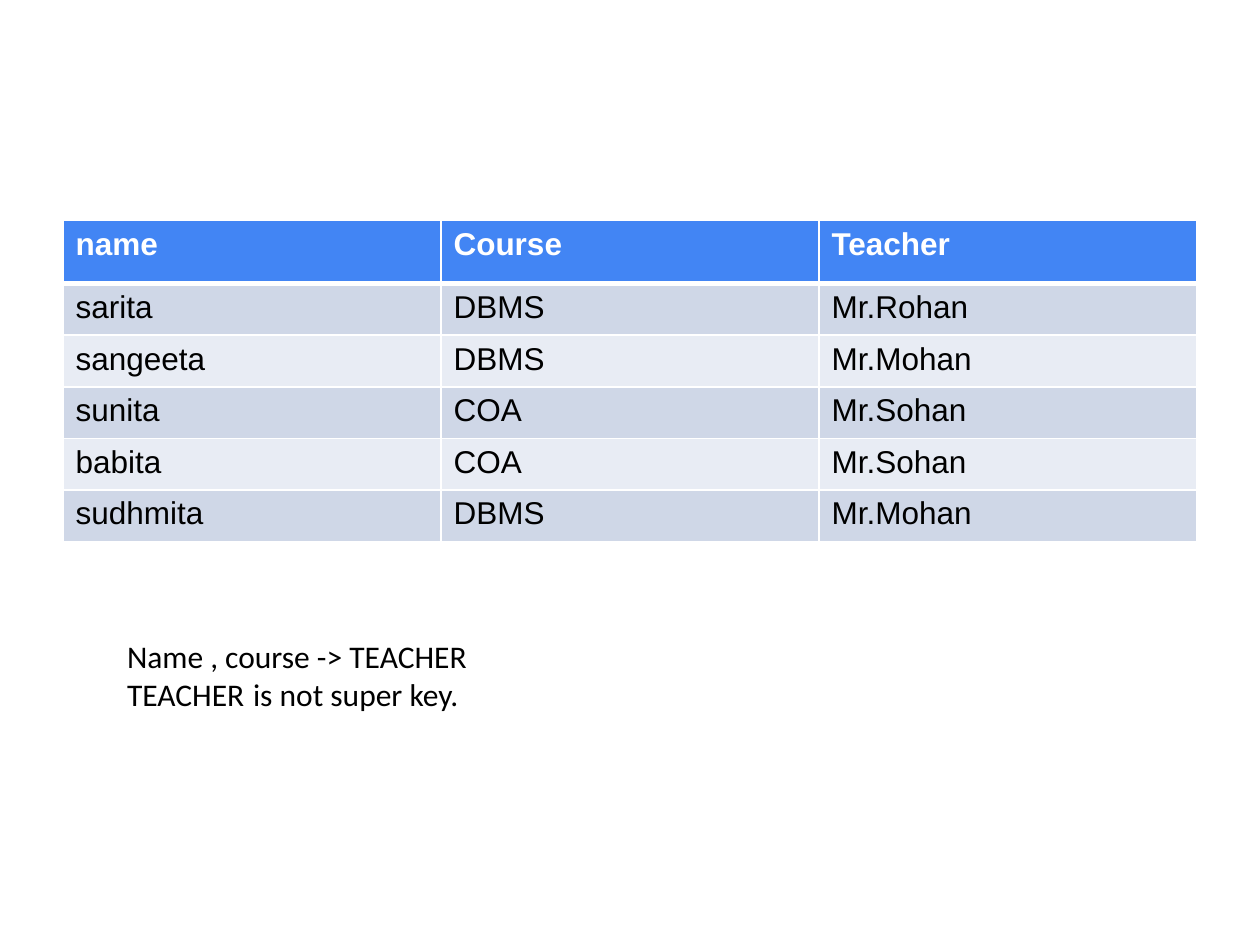
from dataclasses import dataclass

from lxml.etree import SubElement
from pptx import Presentation
from pptx.dml.color import RGBColor
from pptx.enum.text import MSO_AUTO_SIZE as AutoSize
from pptx.oxml.ns import qn
from pptx.util import Inches, Pt

COLORS = {
    "header": "4285F4",
    "odd": "CFD7E7",
    "even": "E8ECF4",
    "light": "FFFFFF",
    "dark": "000000",
}
WIDTH, HEIGHT = Inches(10), Inches(7.5)
MARGINS = {
    "margin_left": Inches(0.1),
    "margin_right": Inches(0.1),
    "margin_top": Inches(0.05),
    "margin_bottom": Inches(0.05),
}


@dataclass
class RowStyle:
    fill: str
    text: str
    bold: bool
    height: float
    bottom_line: float


HEADER = RowStyle("header", "light", True, 0.5, 3)
ODD = RowStyle("odd", "dark", False, 0.41, 1)
EVEN = RowStyle("even", "dark", False, 0.41, 1)

COURSES = [
    ("name", "Course", "Teacher"),
    ("sarita", "DBMS", "Mr.Rohan"),
    ("sangeeta", "DBMS", "Mr.Mohan"),
    ("sunita", "COA", "Mr.Sohan"),
    ("babita", "COA", "Mr.Sohan"),
    ("sudhmita", "DBMS", "Mr.Mohan"),
]
DEPENDENCY = ["Name , course -> TEACHER", "TEACHER \tis not super key."]


def apply(target, values: dict) -> None:
    for name, value in values.items():
        setattr(target, name, value)


def write(para, text: str, font: str, color: str, bold: bool = False) -> None:
    span = para.add_run()
    span.text = text
    apply(span.font, {"name": font, "size": Pt(18), "bold": bold})
    span.font.color.rgb = RGBColor.from_string(COLORS[color])


def add_border(cell, side: str, points: float) -> None:
    properties = cell._tc.get_or_add_tcPr()
    line = SubElement(properties, qn(f"a:ln{side}"), w=str(Pt(points)))
    fill = SubElement(line, qn("a:solidFill"))
    SubElement(fill, qn("a:srgbClr"), val=COLORS["light"])


def style_for(row: int) -> RowStyle:
    if row == 0:
        return HEADER
    return ODD if row % 2 else EVEN


def draw_cell(cell, text: str, style: RowStyle, top_line: float) -> None:
    apply(cell, MARGINS)
    # Borders come before the fill in the cell properties
    lines = {"L": 1, "R": 1, "T": top_line, "B": style.bottom_line}
    for side, points in lines.items():
        add_border(cell, side, points)
    cell.fill.solid()
    cell.fill.fore_color.rgb = RGBColor.from_string(COLORS[style.fill])
    write(cell.text_frame.paragraphs[0], text, "Arial", style.text, style.bold)


def draw_table(page, rows: list) -> None:
    styles = [style_for(index) for index in range(len(rows))]
    total = Inches(sum(style.height for style in styles))
    table = page.shapes.add_table(
        len(rows), len(rows[0]),
        int(WIDTH * 0.05), Inches(1.75), int(WIDTH * 0.9), total,
    ).table
    top_line = 1
    for index, (texts, style) in enumerate(zip(rows, styles)):
        table.rows[index].height = Inches(style.height)
        for column, text in enumerate(texts):
            draw_cell(table.cell(index, column), text, style, top_line)
        top_line = style.bottom_line


def draw_note(page, lines: list) -> None:
    box = page.shapes.add_textbox(
        Inches(0.91), Inches(5.01), Inches(3.62), Inches(0.71)
    )
    frame = box.text_frame
    apply(frame, MARGINS | {
        "word_wrap": True, "auto_size": AutoSize.SHAPE_TO_FIT_TEXT,
    })
    for index, line in enumerate(lines):
        para = frame.add_paragraph() if index else frame.paragraphs[0]
        write(para, line, "Calibri", "dark")


def main() -> None:
    deck = Presentation()
    apply(deck, {"slide_width": WIDTH, "slide_height": HEIGHT})
    page = deck.slides.add_slide(deck.slide_layouts[6])

    # Course table
    draw_table(page, COURSES)
    # Functional dependency below the table
    draw_note(page, DEPENDENCY)

    deck.save("out.pptx")


if __name__ == "__main__":
    main()
